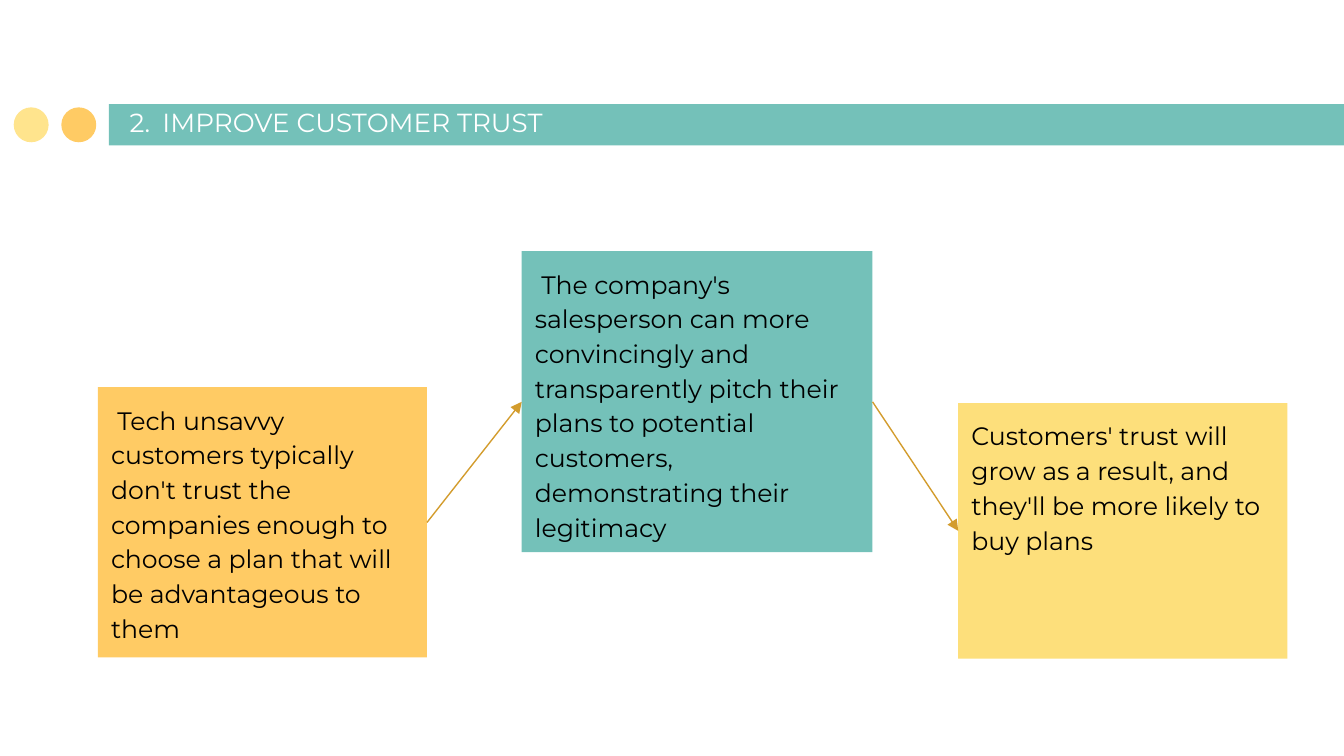
from pptx import Presentation
from pptx.dml.color import RGBColor
from pptx.enum.shapes import MSO_CONNECTOR as Connector, MSO_SHAPE as Shape
from pptx.enum.text import MSO_ANCHOR as Anchor, MSO_AUTO_SIZE as AutoSize, PP_ALIGN as Align
from pptx.oxml.ns import qn
from pptx.util import Cm, Pt
from lxml.etree import SubElement

TEAL = RGBColor(0x74, 0xC1, 0xB9)
ORANGE = RGBColor(0xFF, 0xCB, 0x64)
PALE_YELLOW = RGBColor(0xFF, 0xE4, 0x8D)
YELLOW = RGBColor(0xFD, 0xDF, 0x7B)
GOLD = RGBColor(0xD3, 0x9C, 0x2D)
BLACK = RGBColor(0, 0, 0)
WHITE = RGBColor(0xFF, 0xFF, 0xFF)

FONT = "Montserrat"
INSET = Cm(0.25)
RIGHT_SITE, LEFT_SITE = 3, 1

# Text, left, top, width, height (cm), fill, first-line indent (cm)
STEPS = [
    ("Tech unsavvy customers typically don't trust the companies enough to "
     "choose a plan that will be advantageous to them",
     1.85, 7.32, 6.22, 5.11, ORANGE, 0.12),
    ("The company's salesperson can more convincingly and transparently pitch "
     "their plans to potential customers, demonstrating their legitimacy",
     9.86, 4.75, 6.63, 5.69, TEAL, 0.12),
    ("Customers' trust will grow as a result, and they'll be more likely to "
     "buy plans",
     18.11, 7.62, 6.22, 4.83, YELLOW, 0),
]


def add_block(slide, kind, left, top, width, height, color):
    block = slide.shapes.add_shape(kind, Cm(left), Cm(top), Cm(width), Cm(height))
    block.shadow.inherit = False
    block.fill.solid()
    block.fill.fore_color.rgb = color
    block.line.fill.background()
    return block


def write_text(box, text, *, size, color, anchor=Anchor.TOP, spacing=1.0,
               indent=0, tab=None):
    frame = box.text_frame
    frame.word_wrap = True
    frame.auto_size = AutoSize.NONE
    frame.vertical_anchor = anchor
    frame.margin_left = frame.margin_right = INSET
    frame.margin_top = frame.margin_bottom = INSET
    para = frame.paragraphs[0]
    para.alignment = Align.LEFT
    para.line_spacing = spacing
    properties = para._p.get_or_add_pPr()
    if indent:
        properties.set("indent", str(Cm(indent)))
    if tab:
        tabs = SubElement(properties, qn("a:tabLst"))
        SubElement(tabs, qn("a:tab"), pos=str(Cm(tab)), algn="l")
    span = para.add_run()
    span.text = text
    span.font.name = FONT
    span.font.size = Pt(size)
    span.font.color.rgb = color


def add_arrow(slide, source, target):
    arrow = slide.shapes.add_connector(Connector.STRAIGHT, 0, 0, 0, 0)
    arrow.begin_connect(source, RIGHT_SITE)
    arrow.end_connect(target, LEFT_SITE)
    arrow.line.color.rgb = GOLD
    arrow.line.width = Pt(0.75)
    SubElement(arrow.line._get_or_add_ln(), qn("a:tailEnd"), type="triangle")
    SubElement(arrow._element.spPr, qn("a:effectLst"))


def add_header(slide):
    add_block(slide, Shape.RECTANGLE, 2.06, 1.97, 23.34, 0.78, TEAL)
    for left, color in ((1.16, ORANGE), (0.26, PALE_YELLOW)):
        add_block(slide, Shape.OVAL, left, 2.03, 0.66, 0.66, color)

    title = slide.shapes.title
    title.left, title.top = Cm(2.2), Cm(2)
    title.width, title.height = Cm(13.92), Cm(0.86)
    write_text(title, "2.\tIMPROVE CUSTOMER TRUST", size=14, color=WHITE,
               anchor=Anchor.BOTTOM, tab=0.62)
    # Bring the title in front of the bar
    slide.shapes._spTree.append(title._element)


def add_steps(slide):
    boxes = []
    for text, left, top, width, height, color, indent in STEPS:
        box = add_block(slide, Shape.RECTANGLE, left, top, width, height, color)
        write_text(box, text, size=13.5, color=BLACK, spacing=1.15, indent=indent)
        boxes.append(box)
    for source, target in zip(boxes, boxes[1:]):
        add_arrow(slide, source, target)


def main():
    deck = Presentation()
    deck.slide_width, deck.slide_height = Cm(25.4), Cm(14.29)
    page = deck.slides.add_slide(deck.slide_layouts.get_by_name("Title Only"))
    add_header(page)
    add_steps(page)
    deck.save("out.pptx")


if __name__ == "__main__":
    main()
